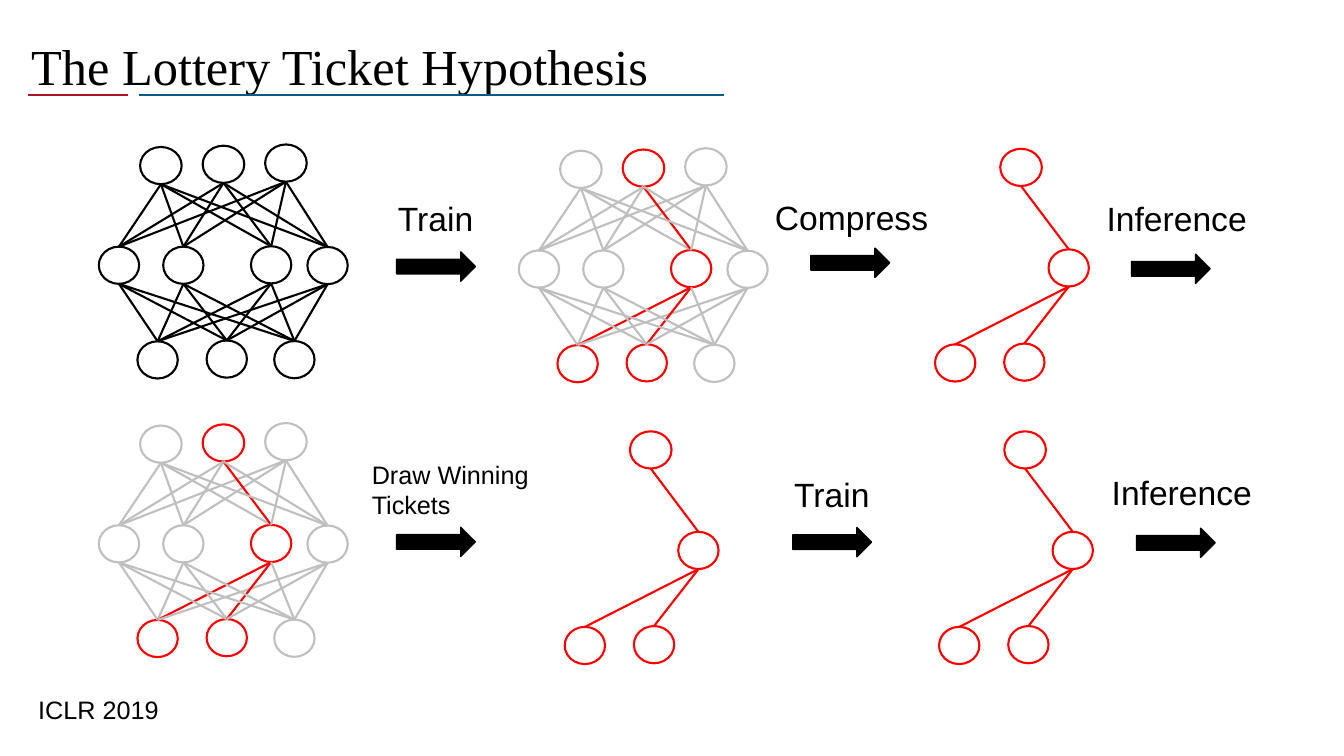
from lxml.etree import SubElement
from pptx import Presentation
from pptx.dml.color import RGBColor
from pptx.enum.shapes import MSO_CONNECTOR, MSO_SHAPE
from pptx.enum.text import MSO_ANCHOR, MSO_AUTO_SIZE, PP_ALIGN
from pptx.oxml.ns import qn
from pptx.util import Pt

BLACK, GREY, RED = "000000", "BFBFBF", "FF0000"

# Neuron offsets (left, top) from a network's corner, layer by layer
LAYERS = {
    "top": [(29.5, 1.8), (74.2, 0.9), (118.8, 0)],
    "middle": [(0, 73), (46, 73), (108.7, 72.7), (149, 73.2)],
    "bottom": [(27.6, 140.6), (77, 140), (125.3, 140.4)],
}
NEURON_WIDTH = {"top": 29.7, "middle": 28.8, "bottom": 28.8}
NEURON_HEIGHT = 26.6
WINNERS = {("top", 1), ("middle", 2), ("bottom", 0), ("bottom", 1)}


def colour(value):
    return RGBColor.from_string(value)


class SlideBuilder:
    heading_font = "Times New Roman"
    body_font = "Arial"
    line_width = 1.5

    def __init__(self, deck):
        self.page = deck.slides.add_slide(deck.slide_layouts[5])
        self.shapes = self.page.shapes

    def set_text(self, frame, text, font_name, size):
        frame.text = text
        for para in frame.paragraphs:
            para.alignment = PP_ALIGN.LEFT
            for span in para.runs:
                span.font.name = font_name
                span.font.size = Pt(size)
                span.font.color.rgb = colour(BLACK)

    def title(self, text, left, top, width, height):
        box = self.shapes.title
        box.left, box.top, box.width, box.height = map(Pt, (left, top, width, height))
        frame = box.text_frame
        frame.auto_size = MSO_AUTO_SIZE.NONE
        frame.vertical_anchor = MSO_ANCHOR.MIDDLE
        self.set_text(frame, text, self.heading_font, 36)
        frame.paragraphs[0].line_spacing = 0.9

    def label(self, text, left, top, width, height, size):
        box = self.shapes.add_textbox(Pt(left), Pt(top), Pt(width), Pt(height))
        frame = box.text_frame
        frame.word_wrap = False
        frame.auto_size = MSO_AUTO_SIZE.SHAPE_TO_FIT_TEXT
        self.set_text(frame, text, self.body_font, size)

    def line(self, start, end, line_colour):
        connector = self.shapes.add_connector(
            MSO_CONNECTOR.STRAIGHT, *map(Pt, (*start, *end)))
        connector.line.color.rgb = colour(line_colour)
        connector.line.width = Pt(self.line_width)
        SubElement(connector._element.spPr, qn("a:effectLst"))

    def arrow(self, centre_x, centre_y, width=20.9, length=56.2):
        arrow = self.shapes.add_shape(
            MSO_SHAPE.UP_ARROW, Pt(centre_x - width / 2), Pt(centre_y - length / 2),
            Pt(width), Pt(length))
        arrow.rotation = 90
        arrow.shadow.inherit = False
        arrow.fill.solid()
        arrow.fill.fore_color.rgb = colour(BLACK)
        arrow.line.color.rgb = colour(BLACK)
        arrow.line.width = Pt(1)

    def neuron(self, left, top, width, line_colour):
        neuron = self.shapes.add_shape(
            MSO_SHAPE.FLOWCHART_CONNECTOR, Pt(left), Pt(top), Pt(width), Pt(NEURON_HEIGHT))
        neuron.shadow.inherit = False
        neuron.fill.background()
        neuron.line.color.rgb = colour(line_colour)
        neuron.line.width = Pt(self.line_width)

    def network(self, left, top, base_colour, winner_colour):
        """Draw a network; a base colour of None keeps only the winning ticket."""
        places = {}
        for layer in ("bottom", "middle", "top"):
            for index, (dx, dy) in enumerate(LAYERS[layer]):
                key = (layer, index)
                shade = winner_colour if key in WINNERS else base_colour
                if shade:
                    places[key] = (left + dx, top + dy)
                    self.neuron(*places[key], NEURON_WIDTH[layer], shade)
        for upper_layer, lower_layer in (("middle", "bottom"), ("top", "middle")):
            uppers = [key for key in places if key[0] == upper_layer]
            lowers = [key for key in places if key[0] == lower_layer]
            for lower in lowers:
                for upper in uppers:
                    winning = {upper, lower} <= WINNERS
                    upper_x, upper_y = places[upper]
                    lower_x, lower_y = places[lower]
                    self.line(
                        (upper_x + NEURON_WIDTH[upper_layer] / 2, upper_y + NEURON_HEIGHT),
                        (lower_x + NEURON_WIDTH[lower_layer] / 2, lower_y),
                        winner_colour if winning else base_colour)


def main():
    deck = Presentation()
    deck.slide_width, deck.slide_height = Pt(960), Pt(540)
    slide = SlideBuilder(deck)

    # Title and its two-colour underline
    slide.title("The Lottery Ticket Hypothesis", 15.1, -2.9, 828, 104.4)
    slide.line((20.2, 67.6), (91.4, 67.6), "AE1324")
    slide.line((99.4, 67.6), (517.5, 67.6), "045A88")

    # Networks: left, top, base colour, winning ticket colour
    for network in (
        (70.6, 103.2, BLACK, BLACK),
        (370.6, 105.9, GREY, RED),
        (640.3, 105.4, None, RED),
        (70.6, 302.2, GREY, RED),
        (375.8, 307.2, None, RED),
        (643.2, 307.2, None, RED),
    ):
        slide.network(*network)

    # Arrows between the stages
    for centre in (
        (311.4, 190.4), (607.3, 187.7), (836.3, 192),
        (311.4, 387.1), (594.4, 387.3), (839.9, 387.7),
    ):
        slide.arrow(*centre)

    # Stage labels and source
    for label in (
        ("Train", 277.2, 137.5, 69.1, 36.4, 24),
        ("Compress", 546.5, 136.8, 125.3, 36.4, 24),
        ("Inference", 783.4, 137.5, 115.9, 36.4, 24),
        ("Draw Winning\nTickets", 258.5, 324.7, 132.5, 50.9, 18),
        ("Train", 560.2, 334.8, 69.1, 36.4, 24),
        ("Inference", 787, 333.4, 115.9, 36.4, 24),
        ("ICLR 2019", 20.2, 492.5, 101.5, 29.1, 18),
    ):
        slide.label(*label)

    deck.save("out.pptx")


if __name__ == "__main__":
    main()
